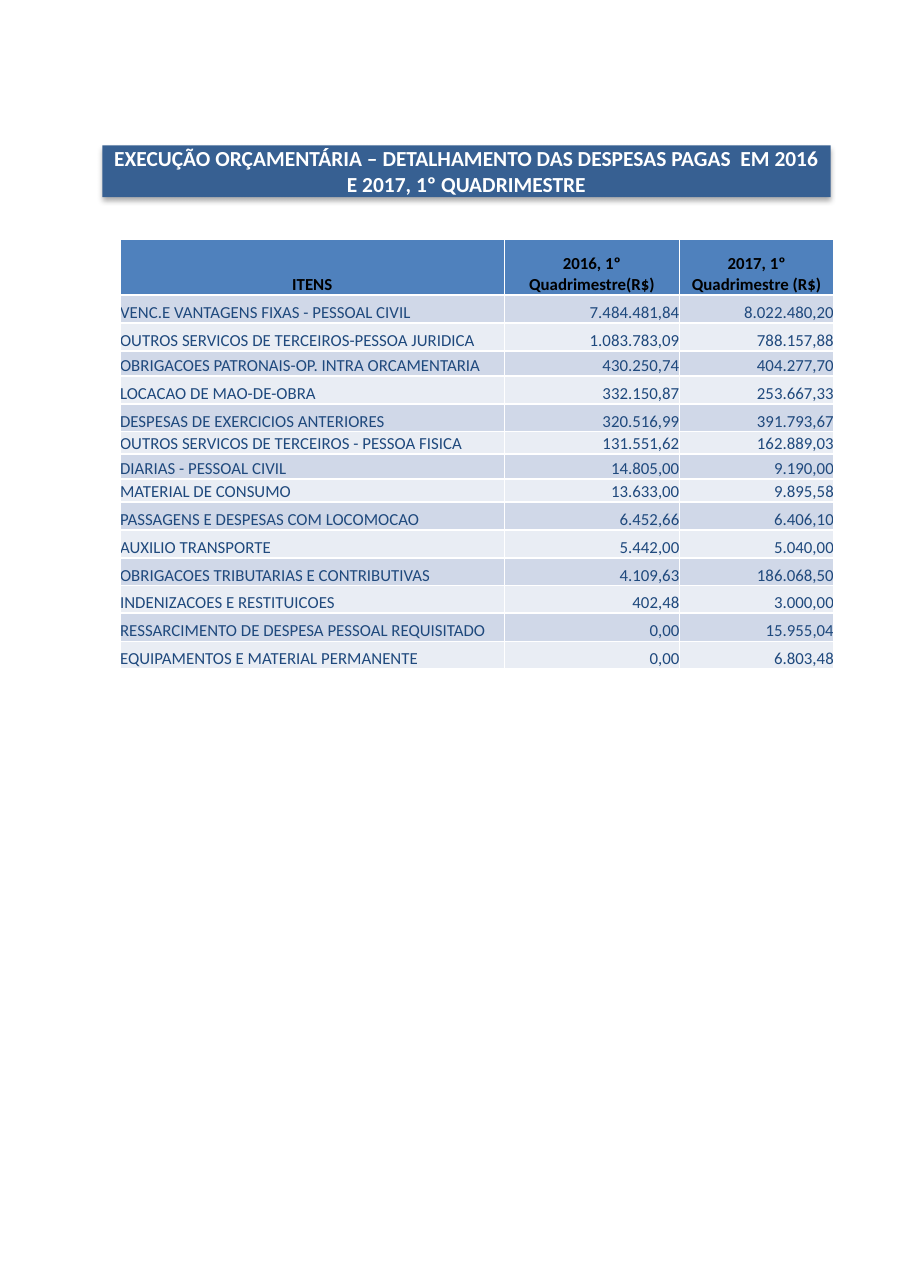
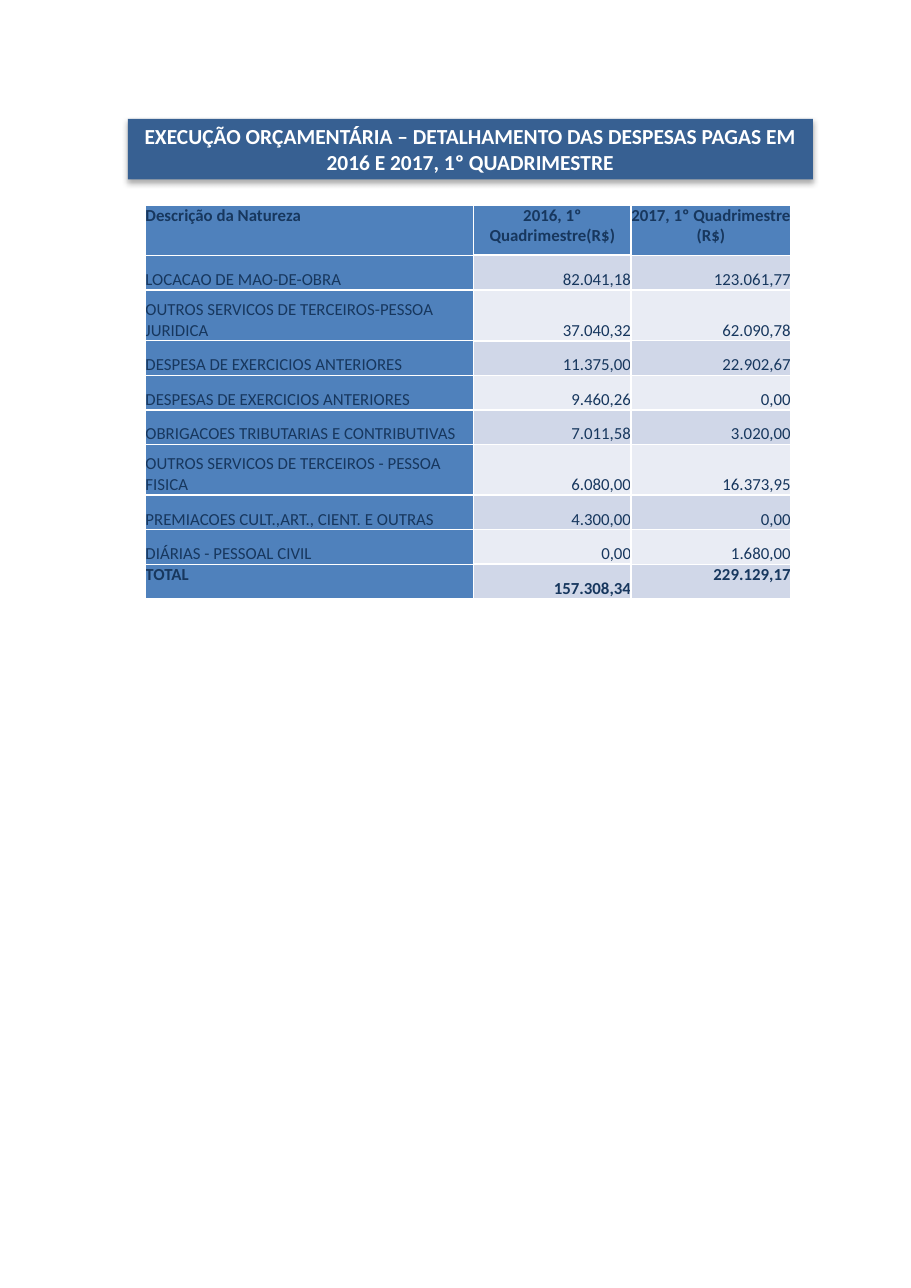
"""Builds two slides of budget tables, each under a title band."""
from dataclasses import dataclass
from pptx import Presentation
from pptx.dml.color import RGBColor as Rgb
from pptx.enum.shapes import MSO_SHAPE as Preset
from pptx.enum.text import MSO_ANCHOR as Anchor, PP_ALIGN as Align
from pptx.oxml import parse_xml
from pptx.util import Inches, Pt

DRAWING = 'xmlns:a="http://schemas.openxmlformats.org/drawingml/2006/main"'


@dataclass(frozen=True)
class Theme:
    font: str = "Calibri"
    title_size: int = 14
    table_size: int = 11
    thin_line: float = 1
    heavy_line: float = 1.5
    white: str = "FFFFFF"
    band: str = "376092"
    shadow: str = "000000"


@dataclass(frozen=True)
class TableStyle:
    header_fill: str
    header_text: str
    body_text: str
    bands: tuple
    label_fill: str = ""
    header_anchor: Anchor = Anchor.BOTTOM
    header_aligns: tuple = (Align.CENTER,) * 3
    heavy_columns: tuple = (0, 1, 2)
    total_anchors: tuple = ()


class Report:
    def __init__(self, theme, width, height):
        self.theme = theme
        self.deck = Presentation()
        self.deck.slide_width, self.deck.slide_height = Inches(width), Inches(height)
        self.slide = None

    def across(self, percent):
        return round(self.deck.slide_width * percent / 100)

    def down(self, percent):
        return round(self.deck.slide_height * percent / 100)

    def add_slide(self):
        self.slide = self.deck.slides.add_slide(self.deck.slide_layouts[6])

    def set_values(self, target, values):
        for name, value in values.items():
            setattr(target, name, value)

    def fill(self, target, color):
        target.fill.solid()
        target.fill.fore_color.rgb = Rgb.from_string(color)

    def put_text(self, frame, text, align, size, color, bold):
        para = frame.paragraphs[0]
        para.alignment = align
        span = para.add_run()
        span.text = text
        self.set_values(span.font, {"name": self.theme.font, "size": Pt(size), "bold": bold})
        span.font.color.rgb = Rgb.from_string(color)

    def title(self, text, left, top, width, height):
        box = self.slide.shapes.add_shape(
            Preset.RECTANGLE, self.across(left), self.down(top),
            self.across(width), self.down(height))
        self.fill(box, self.theme.band)
        box.line.fill.background()
        box.shadow.inherit = False
        effects = box._element.spPr.find("{*}effectLst")
        effects.append(parse_xml(
            f'<a:outerShdw {DRAWING} blurRad="{Pt(3.5)}" dist="{Pt(2.2)}" dir="5400000" '
            f'rotWithShape="0"><a:srgbClr val="{self.theme.shadow}">'
            '<a:alpha val="32000"/></a:srgbClr></a:outerShdw>'))
        self.set_values(box.text_frame, {"word_wrap": True, "vertical_anchor": Anchor.MIDDLE})
        self.put_text(box.text_frame, text, Align.CENTER, self.theme.title_size,
                      self.theme.white, True)

    def borders(self, cell, top, bottom):
        thin = self.theme.thin_line
        widths = {"lnL": thin, "lnR": thin, "lnT": top, "lnB": bottom}
        properties = cell._tc.get_or_add_tcPr()
        for position, (side, width) in enumerate(widths.items()):
            properties.insert(position, parse_xml(
                f'<a:{side} {DRAWING} w="{Pt(width)}"><a:solidFill>'
                f'<a:srgbClr val="{self.theme.white}"/></a:solidFill></a:{side}>'))

    def cell(self, cell, text, row, column, total, style):
        header = row == 0
        color = style.header_text if header else style.body_text
        align = Align.RIGHT if column else Align.LEFT
        anchor = Anchor.BOTTOM
        background = style.bands[(row + 1) % 2]
        if header:
            align, anchor = style.header_aligns[column], style.header_anchor
            background = style.header_fill
        elif column == 0 and style.label_fill:
            background = style.label_fill
        if total:
            anchor = style.total_anchors[column]
        self.set_values(cell, {"margin_left": 0, "margin_right": 0, "margin_top": 0,
                               "margin_bottom": 0, "vertical_anchor": anchor})
        self.fill(cell, background)
        heavy = self.theme.heavy_line if column in style.heavy_columns else self.theme.thin_line
        edges = (heavy, self.theme.thin_line) if row % 2 else (self.theme.thin_line, heavy)
        self.borders(cell, *edges)
        self.put_text(cell.text_frame, text, align, self.theme.table_size, color,
                      header or total)

    def table(self, rows, left, top, columns, heights, style):
        table = self.slide.shapes.add_table(
            len(rows), len(columns), self.across(left), self.down(top),
            self.across(sum(columns)), self.down(sum(heights))).table
        self.set_values(table, {"first_row": False, "horz_banding": False})
        for column, width in zip(table.columns, columns):
            column.width = self.across(width)
        for row, (texts, height) in enumerate(zip(rows, heights)):
            table.rows[row].height = self.down(height)
            total = bool(style.total_anchors) and row == len(rows) - 1
            for column, text in enumerate(texts):
                self.cell(table.cell(row, column), text, row, column, total, style)


EXPENSES = [
    ("ITENS", "2016, 1º Quadrimestre(R$)", "2017, 1º Quadrimestre (R$)"),
    ("VENC.E VANTAGENS FIXAS - PESSOAL CIVIL", "7.484.481,84", "8.022.480,20"),
    ("OUTROS SERVICOS DE TERCEIROS-PESSOA JURIDICA", "1.083.783,09", "788.157,88"),
    ("OBRIGACOES PATRONAIS-OP. INTRA ORCAMENTARIA", "430.250,74", "404.277,70"),
    ("LOCACAO DE MAO-DE-OBRA", "332.150,87", "253.667,33"),
    ("DESPESAS DE EXERCICIOS ANTERIORES", "320.516,99", "391.793,67"),
    ("OUTROS SERVICOS DE TERCEIROS - PESSOA FISICA", "131.551,62", "162.889,03"),
    ("DIARIAS - PESSOAL CIVIL", "14.805,00", "9.190,00"),
    ("MATERIAL DE CONSUMO", "13.633,00", "9.895,58"),
    ("PASSAGENS E DESPESAS COM LOCOMOCAO", "6.452,66", "6.406,10"),
    ("AUXILIO TRANSPORTE", "5.442,00", "5.040,00"),
    ("OBRIGACOES TRIBUTARIAS E CONTRIBUTIVAS", "4.109,63", "186.068,50"),
    ("INDENIZACOES E RESTITUICOES", "402,48", "3.000,00"),
    ("RESSARCIMENTO DE DESPESA PESSOAL REQUISITADO", "0,00", "15.955,04"),
    ("EQUIPAMENTOS E MATERIAL PERMANENTE", "0,00", "6.803,48"),
]
EXPENSES_BY_NATURE = [
    ("Descrição da Natureza", "2016, 1º Quadrimestre(R$)", "2017, 1º Quadrimestre (R$)"),
    ("LOCACAO DE MAO-DE-OBRA", "82.041,18", "123.061,77"),
    ("OUTROS SERVICOS DE TERCEIROS-PESSOA JURIDICA", "37.040,32", "62.090,78"),
    ("DESPESA DE EXERCICIOS ANTERIORES", "11.375,00", "22.902,67"),
    ("DESPESAS DE EXERCICIOS ANTERIORES", "9.460,26", "0,00"),
    ("OBRIGACOES TRIBUTARIAS E CONTRIBUTIVAS", "7.011,58", "3.020,00"),
    ("OUTROS SERVICOS DE TERCEIROS - PESSOA FISICA", "6.080,00", "16.373,95"),
    ("PREMIACOES CULT.,ART., CIENT. E OUTRAS", "4.300,00", "0,00"),
    ("DIÁRIAS - PESSOAL CIVIL", "0,00", "1.680,00"),
    ("TOTAL", "157.308,34", "229.129,17"),
]
ITEM_STYLE = TableStyle("4F81BD", "000000", "1F497D", ("D0D8E8", "E9EDF4"))
NATURE_STYLE = TableStyle(
    "4F81BC", "17375E", "17375E", ("D0D7E8", "E9ECF4"), label_fill="4F81BC",
    header_anchor=Anchor.TOP, header_aligns=(Align.LEFT, Align.CENTER, Align.CENTER),
    heavy_columns=(1,), total_anchors=(Anchor.TOP, Anchor.BOTTOM, Anchor.TOP))


def main():
    report = Report(Theme(), 8.27, 11.69)

    report.add_slide()
    report.title("EXECUÇÃO ORÇAMENTÁRIA – DETALHAMENTO DAS DESPESAS PAGAS  EM 2016 "
                 "E 2017, 1º QUADRIMESTRE", 11.25, 11.29, 79.93, 4.02)
    item_heights = [4.36, 2.16, 2.16, 1.97, 2.16, 2.16, 1.71, 1.97, 1.8] + [2.16] * 6
    report.table(EXPENSES, 13.18, 18.56, (42.2, 19.2, 16.96), item_heights, ITEM_STYLE)

    report.add_slide()
    report.title("EXECUÇÃO ORÇAMENTÁRIA – DETALHAMENTO DAS DESPESAS PAGAS EM 2016 "
                 "E 2017, 1º QUADRIMESTRE", 14.03, 9.24, 75.21, 4.7)
    tall, short = 3.93, 2.69
    nature_heights = [tall, short, tall, short, short, short, tall, short, short, short]
    report.table(EXPENSES_BY_NATURE, 15.96, 15.91, (36.03, 17.29, 17.53),
                 nature_heights, NATURE_STYLE)

    report.deck.save("out.pptx")


if __name__ == "__main__":
    main()
